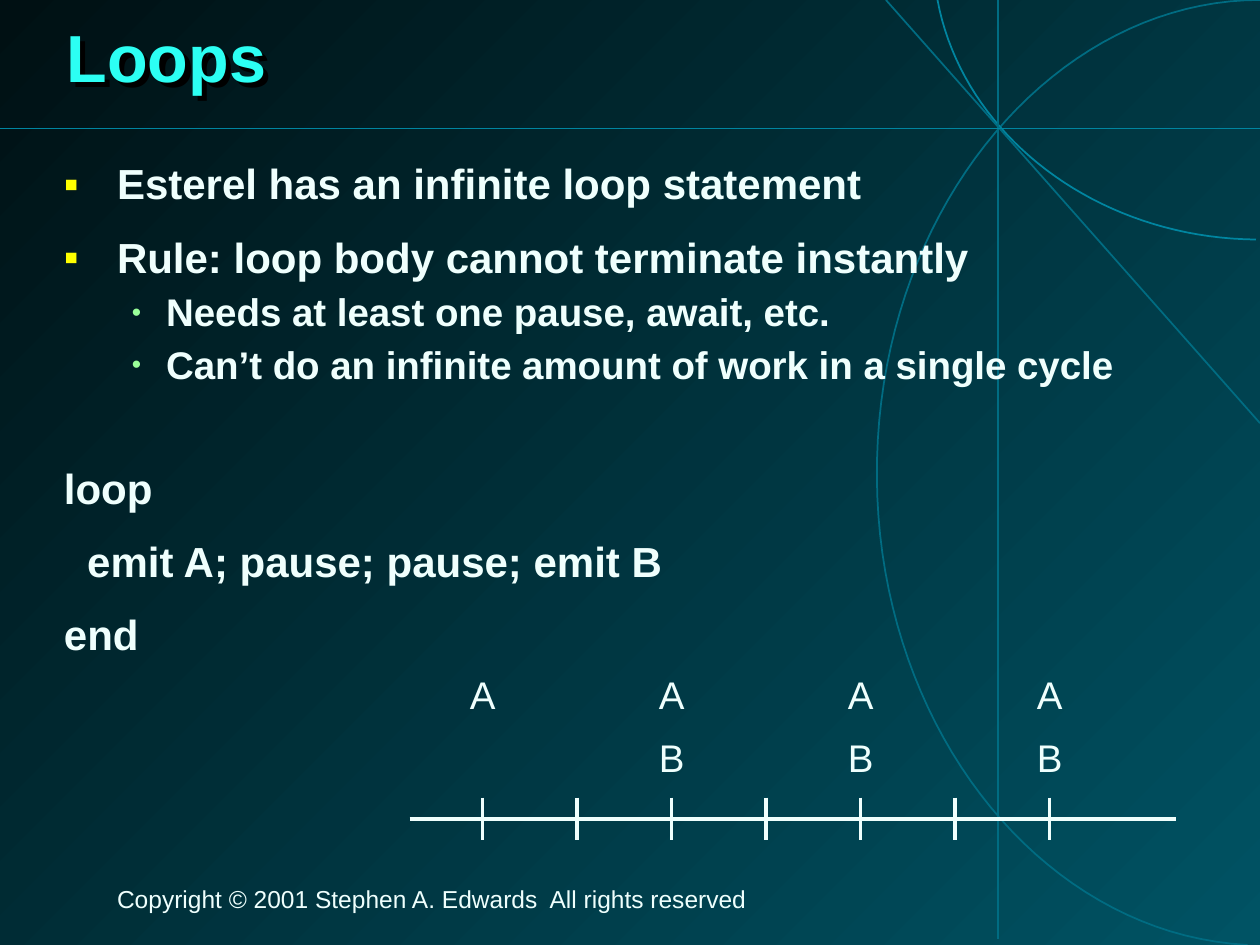
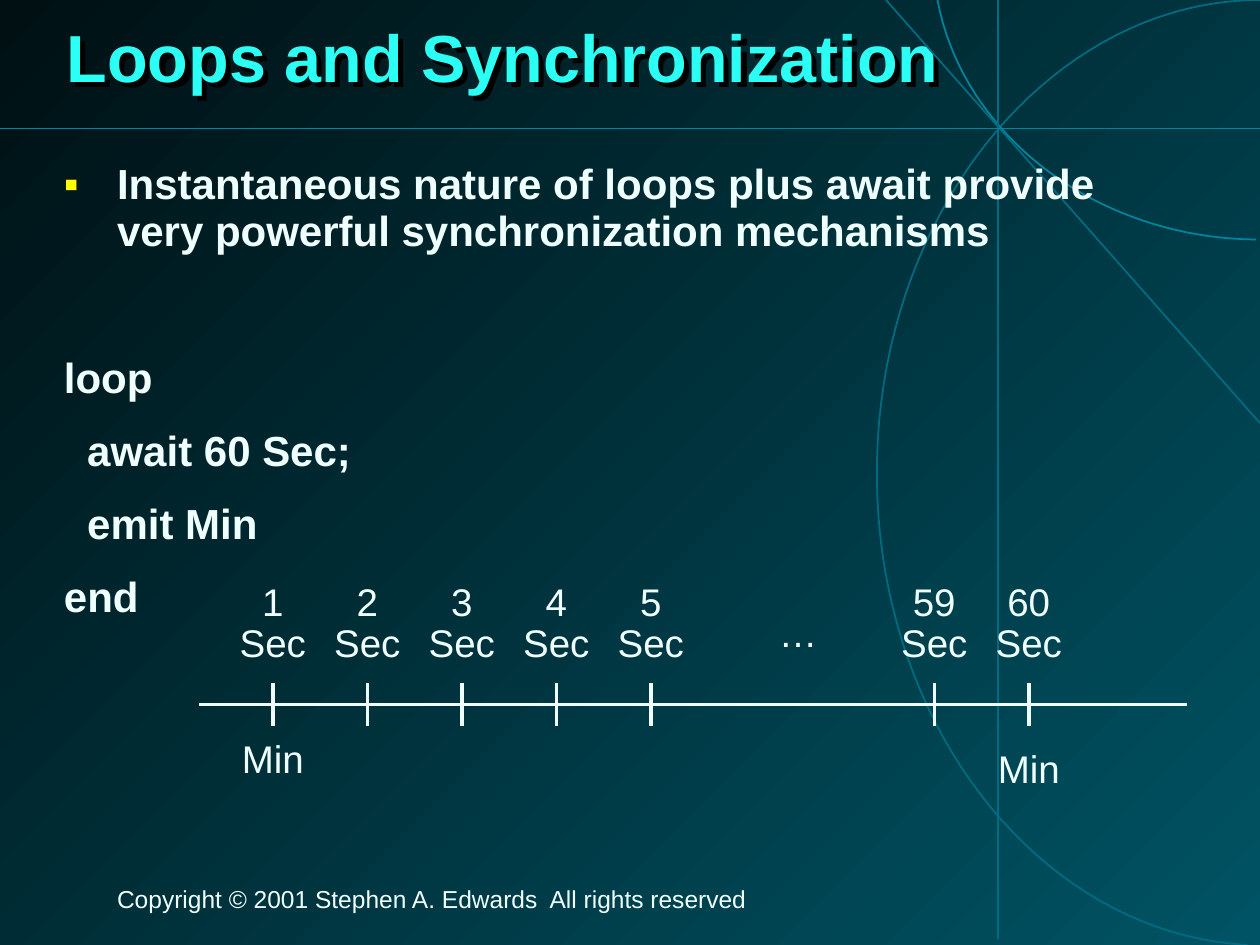
"""Build two slides on loops, each with code and a signal timeline."""
from lxml.etree import SubElement as Sub
from pptx import Presentation as Deck
from pptx.dml.color import RGBColor as Rgb
from pptx.enum.shapes import MSO_CONNECTOR as Conn
from pptx.enum.text import MSO_ANCHOR as Anchor, MSO_AUTO_SIZE as Auto, PP_ALIGN as Align
from pptx.oxml.ns import qn
from pptx.util import Cm, Pt

FONT = "Arial"
HUES = {
    "light": "005364", "dark": "001013", "arc": "006C82", "rule": "0085A0",
    "text": "EFFFFD", "title": "2CFFF3", "point": "FFFF00", "sub": "99FF99",
    "shade": "000000",
}
POINT = dict(size=24, lead=0.93, gap=15, left=1.07, hang=-1.07, mark="▪", tint="point")
SUB = dict(size=22, lead=0.88, gap=6.9, left=2.06, hang=-0.69, mark="•", tint="sub", scale=69)
CODE = dict(size=24, lead=0.93, gap=15, left=1.07, hang=-1.07)
STEP = 1.905
TICK = 0.43


def hue(name):
    return Rgb.from_string(HUES[name])


def style(para, size, tone="text", bold=False, lead=0.85, gap=0, align=Align.LEFT):
    para.line_spacing, para.space_before = lead, Pt(gap)
    para.alignment = align
    font = para.font
    font.name, font.size, font.bold = FONT, Pt(size), bold
    font.color.rgb = hue(tone)


def indent(para, left, hang, mark=None, tint=None, scale=100):
    props = para._p.get_or_add_pPr()
    props.set("marL", str(Cm(left)))
    props.set("indent", str(Cm(hang)))
    if not mark:
        Sub(props, qn("a:buNone"))
        return
    Sub(Sub(props, qn("a:buClr")), qn("a:srgbClr"), val=HUES[tint])
    Sub(props, qn("a:buSzPct"), val=str(scale * 1000))
    Sub(props, qn("a:buFont"), typeface=FONT)
    Sub(props, qn("a:buChar"), char=mark)


def frame(slide, x, y, wide, high):
    box = slide.shapes.add_textbox(Cm(x), Cm(y), Cm(wide), Cm(high))
    box.text_frame.word_wrap = True
    return box.text_frame


def fill(text, rows):
    """Yield one paragraph for each row, with the row."""
    for i, row in enumerate(rows):
        para = text.add_paragraph() if i else text.paragraphs[0]
        yield i, para, row


def label(slide, mid, y, *words):
    text = frame(slide, mid - 1.05, y, 2.1, 1.04 * len(words))
    for i, para, word in fill(text, words):
        para.text = word
        style(para, 22, gap=13.8 if i else 0, align=Align.CENTER)


def line(slide, x1, y1, x2, y2, tone="text", width=2):
    link = slide.shapes.add_connector(Conn.STRAIGHT, Cm(x1), Cm(y1), Cm(x2), Cm(y2))
    link.line.color.rgb, link.line.width = hue(tone), Pt(width)
    Sub(link._element.spPr, qn("a:effectLst"))


def bend(a, b, c, d, count=40):
    """Return points along a cubic curve."""
    spots = []
    for i in range(count + 1):
        t = i / count
        u = 1 - t
        parts = (u ** 3, 3 * u * u * t, 3 * u * t * t, t ** 3)
        spots.append(tuple(Cm(sum(k * p[n] for k, p in zip(parts, (a, b, c, d))))
                           for n in (0, 1)))
    return spots


def arc(slide, tone, spots):
    pen = slide.shapes.build_freeform(*spots[0])
    pen.add_line_segments(spots[1:], close=False)
    shape = pen.convert_to_shape()
    shape.fill.background()
    shape.line.color.rgb, shape.line.width = hue(tone), Pt(1)
    shape.shadow.inherit = False


def decor(slide):
    turn = (17.68, 9.25)
    arc(slide, "arc", bend((25.15, 19.05), (20.88, 18.82), (17.55, 14.45), turn)
        + bend(turn, (17.81, 4.04), (21.34, 0), (25.4, 0))[1:])
    arc(slide, "rule", bend((25.32, 4.83), (22.12, 4.8), (19.41, 2.74), (18.9, 0)))
    line(slide, 25.4, 8.53, 17.86, 0, "arc", 1)
    line(slide, 20.12, 0, 20.12, 18.92, "arc", 1)
    line(slide, 0, 2.59, 25.4, 2.59, "rule", 1)
    para = frame(slide, 2.11, 17.78, 20.52, 0.76).paragraphs[0]
    para.text = "Copyright © 2001 Stephen A. Edwards  All rights reserved"
    style(para, 14)


def head(slide, words):
    shape = slide.shapes.title
    shape.left, shape.top, shape.width, shape.height = Cm(1.09), Cm(0), Cm(23.39), Cm(2.49)
    text = shape.text_frame
    text.text = words
    text.auto_size, text.vertical_anchor = Auto.NONE, Anchor.MIDDLE
    style(text.paragraphs[0], 38, "title", True, 0.87)
    glow = Sub(Sub(shape._element.spPr, qn("a:effectLst")), qn("a:outerShdw"),
               dist=str(Cm(0.15)), dir="2700000", algn="ctr", rotWithShape="0")
    Sub(glow, qn("a:srgbClr"), val=HUES["shade"])


def body(slide, rows, code, space):
    """Write the points, then the code set off by a wider gap."""
    rows = rows + [(CODE, words) for words in code]
    first = len(rows) - len(code)
    for i, para, (kind, words) in fill(frame(slide, 1.04, 3.15, 23.16, 14.2), rows):
        para.text = words
        look = dict(kind)
        size, lead, gap = (look.pop(key) for key in ("size", "lead", "gap"))
        indent(para, **look)
        gap = space if i == first else gap if i else 0
        style(para, size, bold=True, lead=lead, gap=gap)


def axis(slide, left, right, y, ticks):
    line(slide, left, y, right, y)
    for x in ticks:
        line(slide, x, y - TICK, x, y + TICK)


def page(deck, words):
    slide = deck.slides.add_slide(deck.slide_layouts[5])
    decor(slide)
    head(slide, words)
    return slide


def loops(deck):
    slide = page(deck, "Loops")
    body(slide, [
        (POINT, "Esterel has an infinite loop statement"),
        (POINT, "Rule: loop body cannot terminate instantly"),
        (SUB, "Needs at least one pause, await, etc."),
        (SUB, "Can’t do an infinite amount of work in a single cycle"),
    ], ["loop", "  emit A; pause; pause; emit B", "end"], 45)
    ticks = [9.73 + i * STEP for i in range(7)]
    axis(slide, 8.26, 23.7, 16.51, ticks)
    for i, x in enumerate(ticks[::2]):
        label(slide, x, 13.54, *("AB" if i else "A"))


def sync(deck):
    slide = page(deck, "Loops and Synchronization")
    body(slide, [
        (POINT, "Instantaneous nature of loops plus await provide "
                "very powerful synchronization mechanisms"),
    ], ["loop", "  await 60 Sec;", "  emit Min", "end"], 57)
    slots = {1: 0, 2: 1, 3: 2, 4: 3, 5: 4, 59: 7, 60: 8}
    ticks = {sec: 5.5 + slot * STEP for sec, slot in slots.items()}
    axis(slide, 4.01, 23.93, 14.2, ticks.values())
    for sec, x in ticks.items():
        label(slide, x, 11.66, str(sec))
        label(slide, x, 12.5, "Sec")
    label(slide, ticks[1], 14.83, "Min")
    label(slide, ticks[60], 15.04, "Min")
    label(slide, 16.09, 12.29, "…")


def main():
    deck = Deck()
    deck.slide_width, deck.slide_height = Cm(25.4), Cm(19.05)
    back = deck.slide_master.background.fill
    back.gradient()
    back.gradient_angle = 135
    for stop, tone in zip(back.gradient_stops, ("light", "dark")):
        stop.color.rgb = hue(tone)
    loops(deck)
    sync(deck)
    deck.save("out.pptx")


if __name__ == "__main__":
    main()
